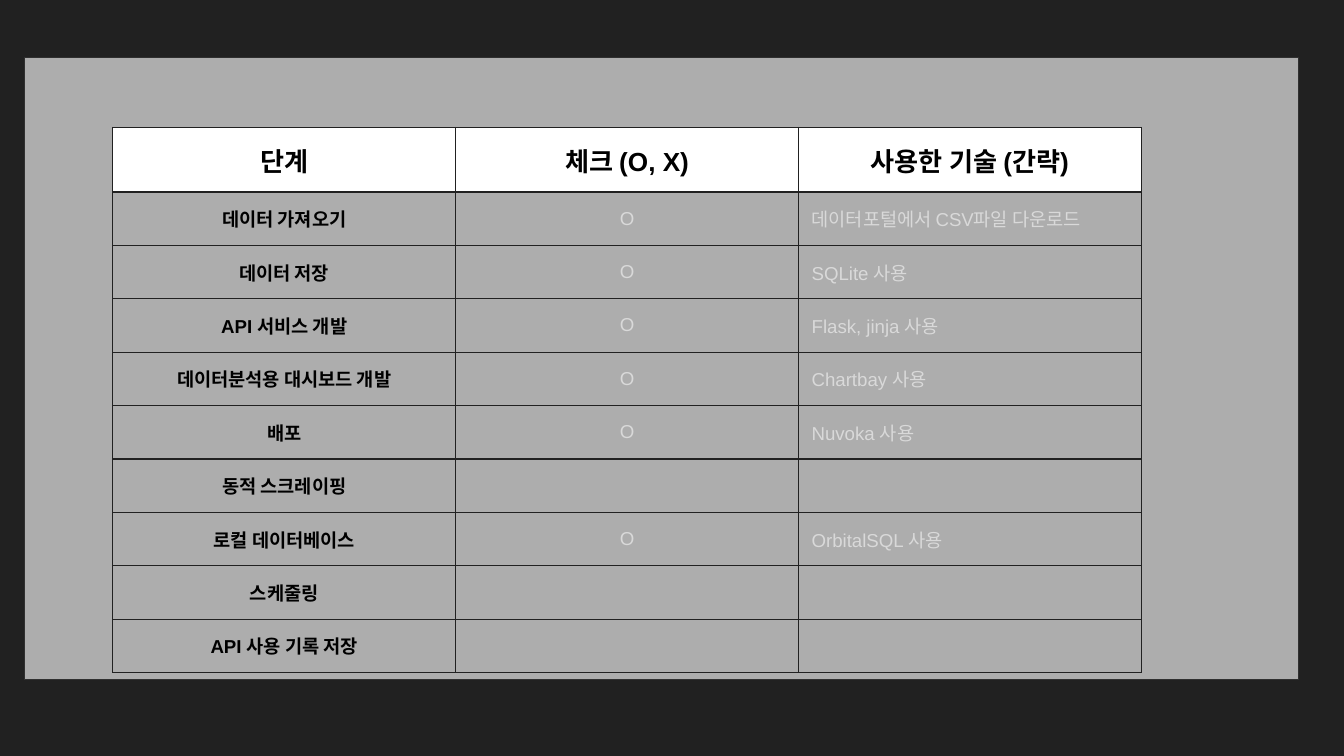
from dataclasses import dataclass

from lxml import etree
from pptx import Presentation
from pptx.dml.color import RGBColor
from pptx.enum import shapes, text
from pptx.oxml import ns
from pptx.util import Cm, Pt

HEADINGS = ("단계", "체크 (O, X)", "사용한 기술 (간략)")
STEPS = [
    ("데이터 가져오기", "O", "데이터포털에서 CSV파일 다운로드"),
    ("데이터 저장", "O", "SQLite 사용"),
    ("API 서비스 개발", "O", "Flask, jinja 사용"),
    ("데이터분석용 대시보드 개발", "O", "Chartbay 사용"),
    ("배포", "O", "Nuvoka 사용"),
    ("동적 스크레이핑", "", ""),
    ("로컬 데이터베이스", "O", "OrbitalSQL 사용"),
    ("스케줄링", "", ""),
    ("API 사용 기록 저장", "", ""),
]


@dataclass(frozen=True)
class Theme:
    font: str = "Arial"
    heading_size: int = 14
    body_size: int = 10
    line_width: float = 0.75
    background: str = "212121"
    panel: str = "ADADAD"
    panel_line: str = "303030"
    grid: str = "212121"
    heading_fill: str = "FFFFFF"
    strong: str = "000000"
    soft: str = "D9D9D9"


THEME = Theme()
PANEL = (Cm(0.46), Cm(1.09), Cm(24.08), Cm(11.76))
TABLE_LEFT, TABLE_TOP = Cm(2.13), Cm(2.41)
COLUMN_WIDTH = Cm(6.48)
HEADING_HEIGHT, STEP_HEIGHT = Cm(0.81), Cm(0.79)
INSET = Cm(0.25)


def paint(fill, color):
    fill.solid()
    fill.fore_color.rgb = RGBColor.from_string(color)


def write(cell, wording, size=THEME.body_size, color=THEME.soft, bold=False,
          align=text.PP_ALIGN.CENTER):
    cell.vertical_anchor = text.MSO_ANCHOR.MIDDLE
    cell.margin_left = cell.margin_right = INSET
    cell.margin_top = cell.margin_bottom = INSET
    paragraph = cell.text_frame.paragraphs[0]
    paragraph.alignment = align
    if not wording:
        # An empty cell takes its line height from the paragraph end mark.
        etree.SubElement(paragraph._p, ns.qn("a:endParaRPr"), sz=str(size * 100))
        return
    run = paragraph.add_run()
    run.text = wording
    run.font.name = THEME.font
    run.font.size = Pt(size)
    run.font.bold = bold
    run.font.color.rgb = RGBColor.from_string(color)


def add_borders(cell):
    properties = cell._tc.get_or_add_tcPr()
    for position, side in enumerate("LRTB"):
        border = etree.Element(ns.qn(f"a:ln{side}"), w=str(Pt(THEME.line_width)))
        fill = etree.SubElement(border, ns.qn("a:solidFill"))
        etree.SubElement(fill, ns.qn("a:srgbClr"), val=THEME.grid)
        properties.insert(position, border)


def add_panel(slide):
    panel = slide.shapes.add_shape(shapes.MSO_SHAPE.RECTANGLE, *PANEL)
    panel.shadow.inherit = False
    paint(panel.fill, THEME.panel)
    paint(panel.line.fill, THEME.panel_line)
    panel.line.width = Pt(THEME.line_width)


def add_checklist(slide):
    rows = [HEADINGS, *STEPS]
    checklist = slide.shapes.add_table(
        len(rows), len(HEADINGS), TABLE_LEFT, TABLE_TOP,
        COLUMN_WIDTH * len(HEADINGS),
        HEADING_HEIGHT + STEP_HEIGHT * len(STEPS)).table
    checklist.first_row = checklist.horz_banding = False
    for column in checklist.columns:
        column.width = COLUMN_WIDTH

    heading = dict(size=THEME.heading_size, color=THEME.strong, bold=True)
    step_formats = (dict(color=THEME.strong, bold=True), {},
                    dict(align=text.PP_ALIGN.LEFT))
    for r, row in enumerate(rows):
        checklist.rows[r].height = STEP_HEIGHT if r else HEADING_HEIGHT
        for c, wording in enumerate(row):
            cell = checklist.cell(r, c)
            write(cell, wording, **(step_formats[c] if r else heading))
            if r:
                cell.fill.background()
            else:
                paint(cell.fill, THEME.heading_fill)
            add_borders(cell)


def main():
    deck = Presentation()
    deck.slide_width, deck.slide_height = Cm(25.4), Cm(14.29)
    slide = deck.slides.add_slide(deck.slide_layouts[6])
    paint(slide.background.fill, THEME.background)
    add_panel(slide)
    add_checklist(slide)
    deck.save("out.pptx")


if __name__ == "__main__":
    main()
